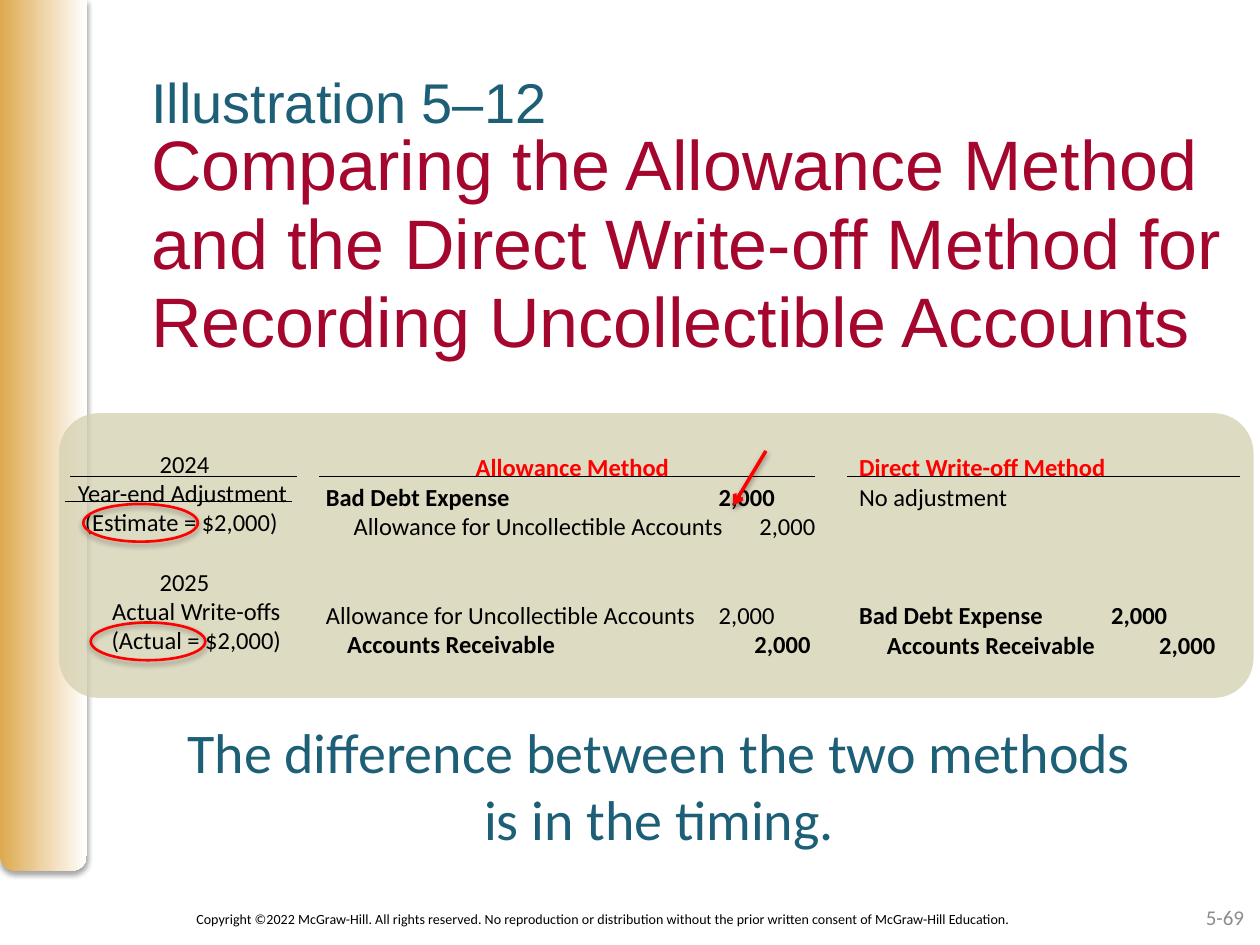
from lxml.etree import SubElement
from pptx import Presentation
from pptx.dml.color import RGBColor
from pptx.enum.shapes import MSO_CONNECTOR, MSO_SHAPE
from pptx.enum.text import MSO_ANCHOR, PP_ALIGN
from pptx.oxml.ns import qn
from pptx.util import Cm, Pt

BLACK, RED, TEAL = "000000", "FF0000", "1D5F76"
MID, RIGHT = PP_ALIGN.CENTER, PP_ALIGN.RIGHT


def paint(color, tint):
    color.rgb = RGBColor.from_string(tint)


def apply(item, values):
    for name, value in values.items():
        setattr(item, name, value)


def node(root, tag, **values):
    child = SubElement(root, qn(tag))
    for name, value in values.items():
        child.set(name, str(value))
    return child


def shade(effect, alpha=35):
    cast = node(effect, "a:outerShdw", blurRad=Pt(3.1), dist=Pt(1.8),
                dir=5400000, rotWithShape=0)
    node(node(cast, "a:srgbClr", val=BLACK), "a:alpha", val=alpha * 1000)


class Page:
    def __init__(self, deck):
        self.slide = deck.slides.add_slide(deck.slide_layouts[6])
        self.shapes = self.slide.shapes
        self.face = {"name": "Calibri", "size": Pt(14), "bold": False}

    def text(self, box, rows, tint=BLACK, pad=True, anchor=MSO_ANCHOR.TOP, **face):
        frame = self.shapes.add_textbox(*map(Cm, box)).text_frame
        apply(frame, {"word_wrap": True, "vertical_anchor": anchor})
        if not pad:
            apply(frame, dict.fromkeys(
                ("margin_left", "margin_top", "margin_right", "margin_bottom"), 0))
        for i, (words, look) in enumerate(rows):
            para = frame.paragraphs[0] if i == 0 else frame.add_paragraph()
            para.text = words
            if "tabs" in look:
                stops = node(para._p.get_or_add_pPr(), "a:tabLst")
                for place, kind in look["tabs"]:
                    node(stops, "a:tab", pos=Cm(place), algn=kind)
            apply(para, look.get("para", {}))
            for run in para.runs:
                apply(run.font, {**self.face, **face, **look.get("font", {})})
                paint(run.font.color, look.get("tint", tint))

    def shape(self, kind, box, adjust=()):
        form = self.shapes.add_shape(kind, *map(Cm, box))
        form.shadow.inherit = False
        form.line.fill.background()
        for i, value in enumerate(adjust):
            form.adjustments[i] = value
        return form

    def bar(self, box):
        form = self.shape(MSO_SHAPE.ROUND_2_SAME_RECTANGLE, box, (0, 0.17))
        form.fill.gradient()
        form.fill.gradient_angle = 0
        for stop, tint in zip(form.fill.gradient_stops, ("DDA94F", "FFFFFF")):
            paint(stop.color, tint)
        shade(form._element.spPr.find(qn("a:effectLst")))

    def panel(self, box):
        form = self.shape(MSO_SHAPE.ROUNDED_RECTANGLE, box, (0.14,))
        form.fill.solid()
        paint(form.fill.fore_color, "D4D0B0")
        color = form._element.spPr.find(qn("a:solidFill"))[0]
        node(color, "a:alpha", val=75000)

    def ring(self, box):
        form = self.shape(MSO_SHAPE.OVAL, box)
        form.fill.background()
        paint(form.line.color, RED)
        form.line.width = Pt(1.5)
        shade(form._element.spPr.find(qn("a:effectLst")))

    def rule(self, ends, tint=BLACK, width=0.75, arrow=False):
        link = self.shapes.add_connector(MSO_CONNECTOR.STRAIGHT, *map(Cm, ends))
        paint(link.line.color, tint)
        link.line.width = Pt(width)
        effect = node(link._element.spPr, "a:effectLst")
        if arrow:
            node(link.line._ln, "a:tailEnd", type="arrow")
            shade(effect, 38)


def row(words, *tabs, gap=0, align=None, tint=BLACK, bold=False):
    look = {"tint": tint, "font": {"bold": bold}, "para": {}}
    if tabs:
        look["tabs"] = tabs
    if gap:
        look["para"]["space_before"] = Pt(17 * gap)
    if align:
        look["para"]["alignment"] = align
    return words, look


def left(*stops):
    return [(stop, "l") for stop in stops]


def main():
    deck = Presentation()
    apply(deck, {"slide_width": Cm(25.4), "slide_height": Cm(19.05)})
    page = Page(deck)
    page.bar((0, 0, 1.75, 17.55))
    page.text((3.71, 18.24, 19.38, 0.61), [
        row("Copyright ©2022 McGraw-Hill. All rights reserved. No reproduction or "
            "distribution without the prior written consent of McGraw-Hill Education."),
    ], size=Pt(8))
    page.text((19.41, 17.98, 5.92, 1.02), [row("5-69", align=RIGHT, tint="8C8C8C")],
              anchor=MSO_ANCHOR.MIDDLE, size=Pt(12))
    page.text((3.05, 2.59, 22.1, 4.5), [
        ("Comparing the Allowance Method and the Direct Write-off Method "
         "for Recording Uncollectible Accounts", {"para": {"line_spacing": 0.93}}),
    ], "A5062D", False, name="Arial", size=Pt(40))
    page.text((3.05, 1.37, 14.63, 1.17), [("Illustration 5–12", {})],
              TEAL, False, name="Arial", size=Pt(32))

    page.panel((1.19, 8.33, 24.08, 5.74))
    for start, end, top in ((1.42, 5.99, 9.6), (1.32, 5.89, 10.11),
                            (6.43, 16.43, 9.6), (17.07, 24.99, 9.6)):
        page.rule((start, top, end, top))

    center = (2.39, "ctr")
    page.text((1.32, 8.92, 4.8, 4.45), [
        row("2024", align=MID),
        row("Year-end Adjustment"),
        row("\t(Estimate = $2,000)", *left(0.14)),
        row("2025", gap=1, align=MID),
        row("\tActual Write-offs", center),
        row("\t(Actual = $2,000)", center),
    ])
    page.text((6.32, 8.99, 10.44, 5.64), [
        row("Allowance Method", align=MID, tint=RED, bold=True),
        row("Bad Debt Expense\t2,000", *left(7.92), bold=True),
        row("\tAllowance for Uncollectible Accounts\t2,000", *left(0.56, 8.74)),
        row("Allowance for Uncollectible Accounts\t2,000", *left(7.92), gap=2),
        row("\tAccounts Receivable\t2,000", *left(0.43, 8.64), bold=True),
    ])
    page.text((17.07, 8.99, 7.9, 4.45), [
        row("Direct Write-off Method", tint=RED, bold=True),
        row("No adjustment"),
        row("Bad Debt Expense\t2,000", *left(5.08), gap=3, bold=True),
        row("\tAccounts Receivable\t2,000", *left(0.56, 6.05), bold=True),
    ])

    for x, y in ((1.68, 10.16), (1.83, 12.55)):
        page.ring((x, y, 2.31, 0.76))
    page.rule((15.44, 9.09, 14.78, 10.19), RED, 2, True)
    page.text((2.24, 14.33, 22.1, 3), [
        row("The difference between the two methods\vis in the timing.",
            align=MID, tint=TEAL),
    ], size=Pt(32))
    deck.save("out.pptx")


if __name__ == "__main__":
    main()
